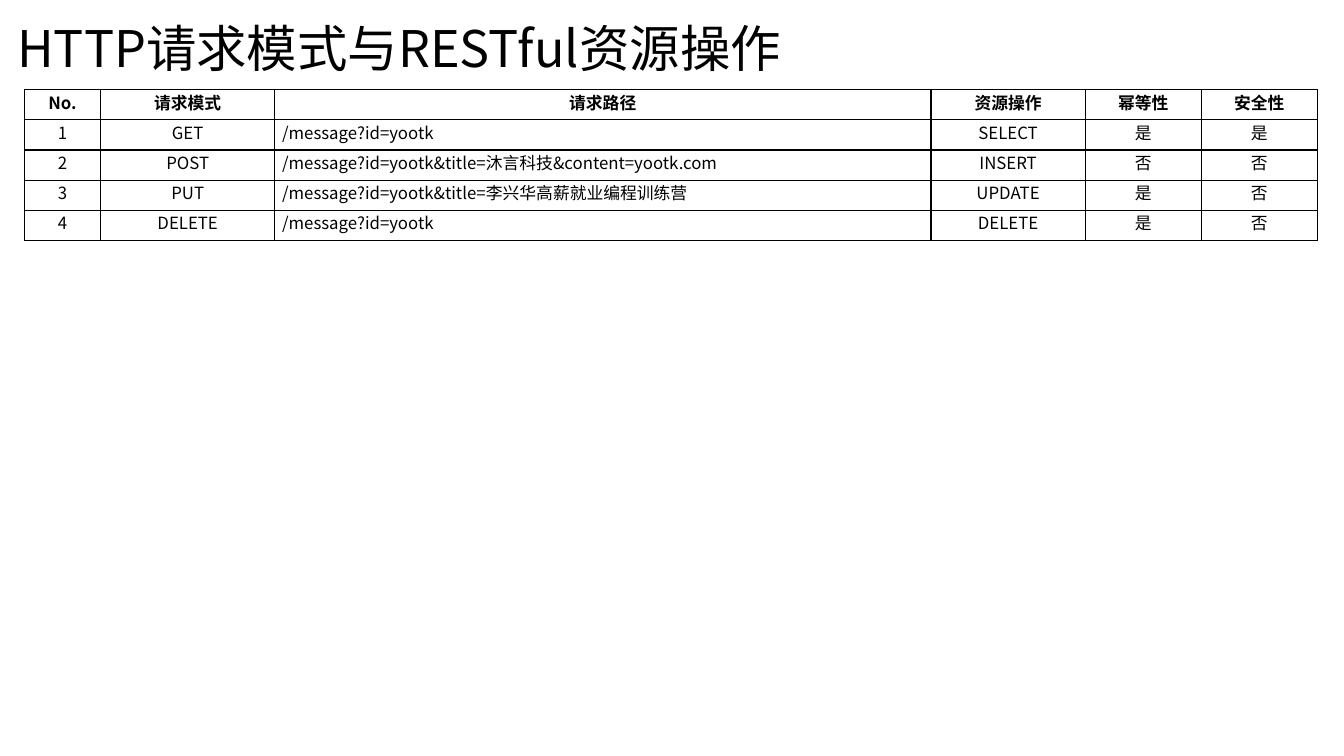
from dataclasses import dataclass

from lxml.etree import SubElement
from pptx import Presentation
from pptx.dml.color import RGBColor as Color
from pptx.enum.text import MSO_ANCHOR as Anchor, PP_ALIGN as Align
from pptx.oxml.ns import qn
from pptx.util import Cm, Pt


@dataclass(frozen=True)
class Theme:
    font: str = "Noto Sans CJK SC"
    ink: str = "000000"
    title_size: int = 36
    table_size: int = 12
    border_width: int = 1


HEADINGS = ["No.", "请求模式", "请求路径", "资源操作", "幂等性", "安全性"]
REQUESTS = [
    ["1", "GET", "/message?id=yootk", "SELECT", "是", "是"],
    ["2", "POST", "/message?id=yootk&title=沐言科技&content=yootk.com", "INSERT", "否", "否"],
    ["3", "PUT", "/message?id=yootk&title=李兴华高薪就业编程训练营", "UPDATE", "是", "否"],
    ["4", "DELETE", "/message?id=yootk", "DELETE", "是", "否"],
]
COLUMN_WIDTHS = [1.93, 4.38, 16.54, 3.89, 2.92, 2.93]
ROW_HEIGHT = 0.76
PATH_COLUMN = HEADINGS.index("请求路径")


def set_attributes(target, values):
    for name, value in values.items():
        setattr(target, name, value)


class SlideBuilder:
    def __init__(self, deck, theme):
        self.theme = theme
        self.page = deck.slides.add_slide(deck.slide_layouts[5])

    def add_text(self, frame, text, size, bold=False, **para_format):
        para = frame.paragraphs[0]
        set_attributes(para, para_format)
        span = para.add_run()
        span.text = text
        set_attributes(span.font, {"name": self.theme.font, "size": Pt(size), "bold": bold})
        span.font.color.rgb = Color.from_string(self.theme.ink)
        SubElement(span.font._element, qn("a:ea"), typeface=self.theme.font)

    def title(self, text, left, top, width, height):
        box = self.page.shapes.title
        set_attributes(box, {"left": Cm(left), "top": Cm(top),
                             "width": Cm(width), "height": Cm(height)})
        set_attributes(box.text_frame, {"vertical_anchor": Anchor.MIDDLE, "word_wrap": True})
        self.add_text(box.text_frame, text, self.theme.title_size,
                      alignment=Align.LEFT, line_spacing=0.9)

    def border(self, cell):
        properties = cell._tc.get_or_add_tcPr()
        for side in ("lnL", "lnR", "lnT", "lnB"):
            line = SubElement(properties, qn(f"a:{side}"), w=str(Pt(self.theme.border_width)))
            fill = SubElement(line, qn("a:solidFill"))
            SubElement(fill, qn("a:srgbClr"), val=self.theme.ink)

    def table(self, rows, left, top, widths, row_height, left_column):
        """Draw a bordered grid with a bold first row and one left-aligned body column."""
        grid = self.page.shapes.add_table(
            len(rows), len(widths), Cm(left), Cm(top),
            Cm(sum(widths)), Cm(row_height * len(rows))).table
        set_attributes(grid, {"first_row": False, "horz_banding": False})
        for column, width in zip(grid.columns, widths):
            column.width = Cm(width)
        for row_index, row in enumerate(rows):
            grid.rows[row_index].height = Cm(row_height)
            is_heading = row_index == 0
            for column_index, text in enumerate(row):
                cell = grid.cell(row_index, column_index)
                set_attributes(cell, {"margin_left": Cm(0.19), "margin_right": Cm(0.19),
                                      "margin_top": 0, "margin_bottom": 0,
                                      "vertical_anchor": Anchor.TOP})
                self.border(cell)
                cell.fill.background()
                is_left = column_index == left_column and not is_heading
                self.add_text(cell.text_frame, text, self.theme.table_size, bold=is_heading,
                              alignment=Align.LEFT if is_left else Align.CENTER)


def main():
    deck = Presentation()
    set_attributes(deck, {"slide_width": Cm(33.87), "slide_height": Cm(19.05)})
    slide = SlideBuilder(deck, Theme())
    slide.title("HTTP请求模式与RESTful资源操作", 0.18, 0.2, 33.4, 2.16)
    slide.table([HEADINGS, *REQUESTS], 0.61, 2.26, COLUMN_WIDTHS, ROW_HEIGHT, PATH_COLUMN)
    deck.save("out.pptx")


if __name__ == "__main__":
    main()
